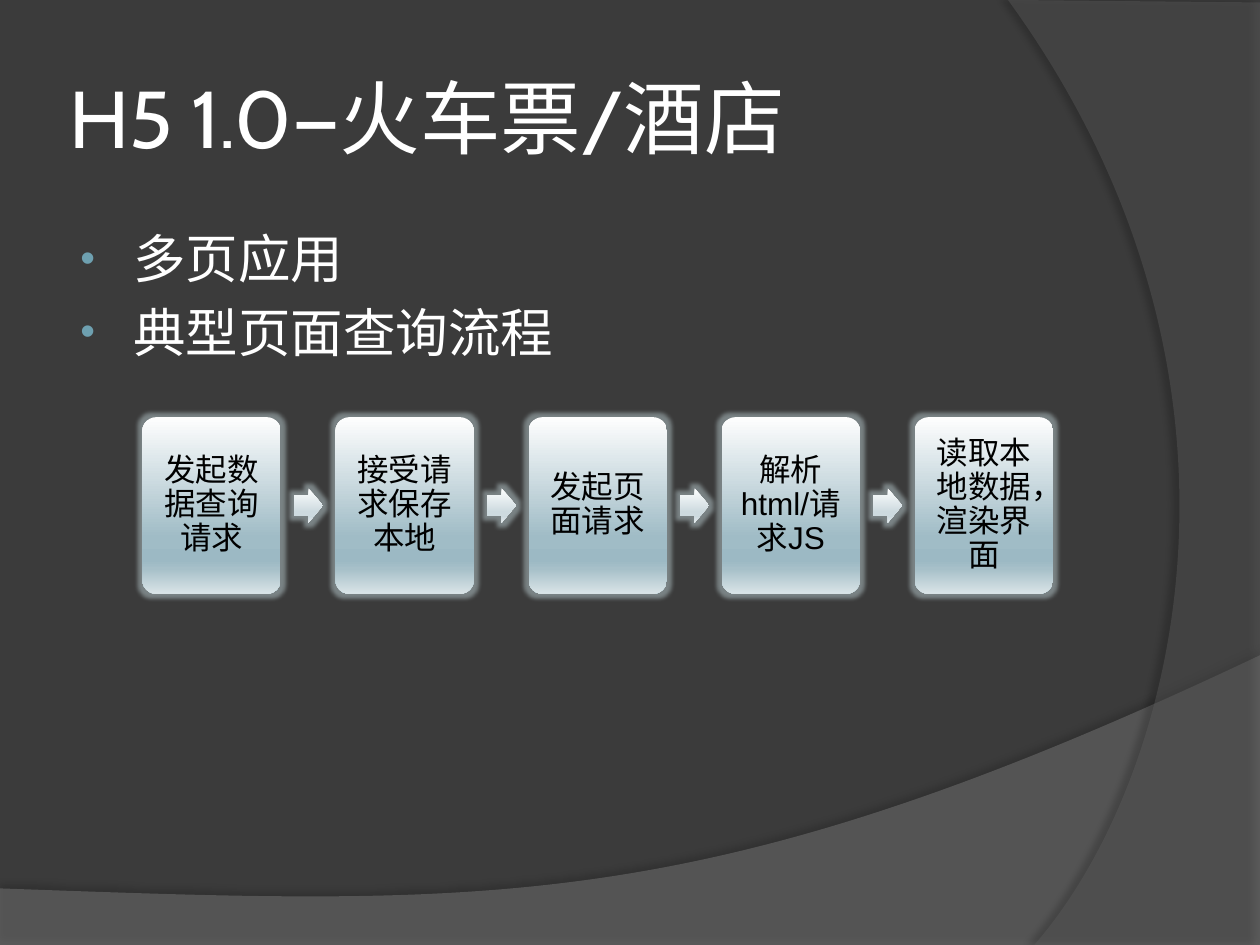
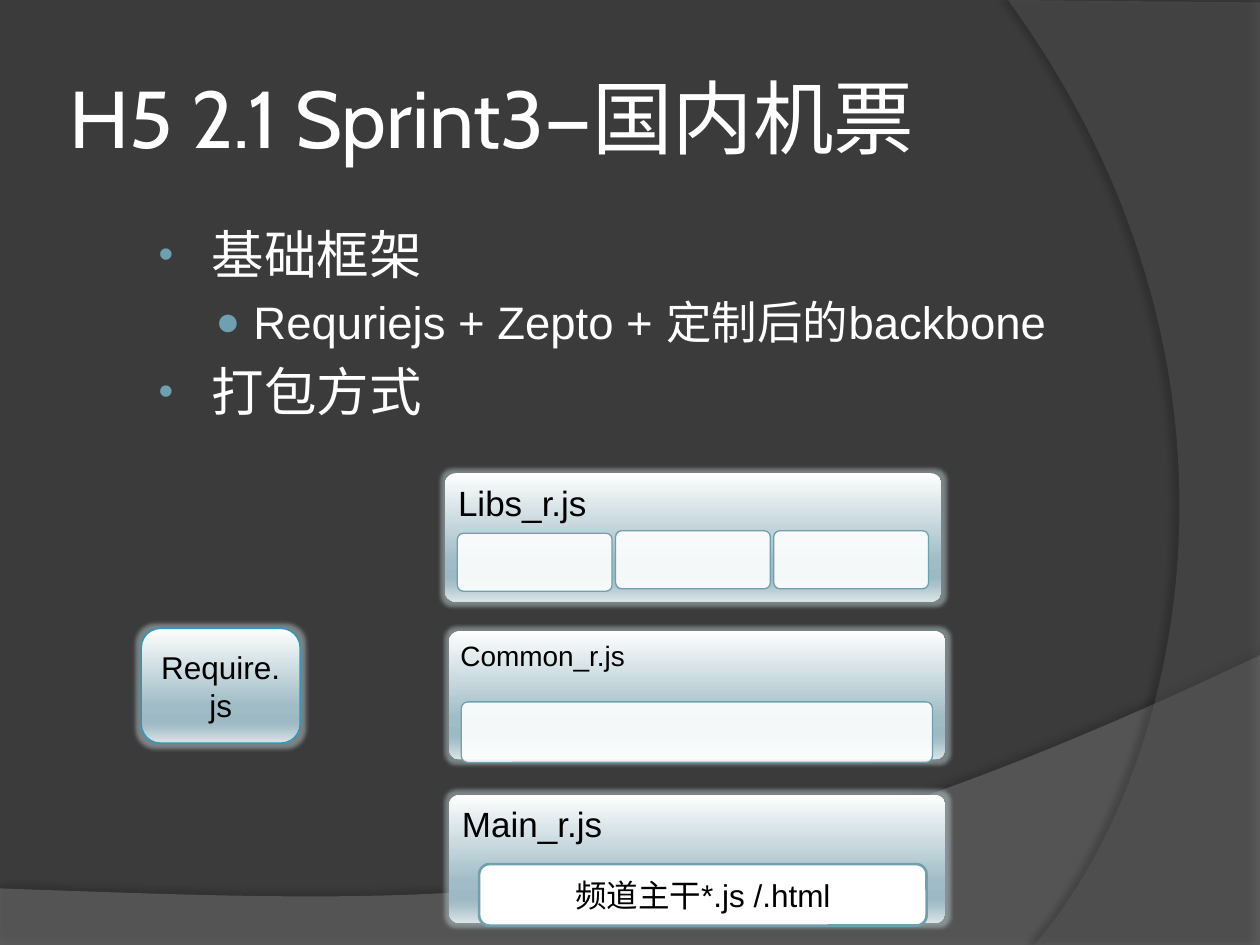
import pptx
import pptx.util
import pptx.dml.color
import pptx.enum.shapes
import pptx.enum.text
import pptx.oxml.ns
from lxml import etree

Cm, Pt = pptx.util.Cm, pptx.util.Pt
SHAPE = pptx.enum.shapes.MSO_SHAPE
ALIGN = pptx.enum.text.PP_ALIGN
ANCHOR = pptx.enum.text.MSO_ANCHOR
qn = pptx.oxml.ns.qn

# Shared colours, fonts and gradients
BACK, WHITE, BLACK, ACCENT = "3B3B3B", "FFFFFF", "000000", "6EA0B0"
GLOW = "C8DCE0"
TITLE_FONT, BODY_FONT = "Cabin", "Arial"
CARD_GRADIENT = [(0, "FEFEFE"), (68, "A0BCC6"), (81, "9CB9C4"), (86, "A7C0C9"), (100, "DAE4E7")]
ARROW_GRADIENT = [(0, "FEFFFF"), (68, "CDDADF"), (81, "CBD9DE"), (86, "D0DCE1"), (100, "EAEFF1")]
TITLE_BOX = (1.27, 0.76, 20.75, 3.18)
# Bullet level: character, size in percent, left margin, hanging indent, text size
BULLETS = [("•", 80, 1.17, 1.07, 30), ("●", 90, 2.01, 0.76, 26)]


def rgb(value):
    return pptx.dml.color.RGBColor.from_string(value)


def add_xml(parent, tag, **attrs):
    return etree.SubElement(parent, qn(tag), {k: str(v) for k, v in attrs.items()})


def add_color(parent, color, alpha=100):
    clr = add_xml(parent, "a:srgbClr", val=color)
    if alpha < 100:
        add_xml(clr, "a:alpha", val=alpha * 1000)


def place(box):
    return [Cm(v) for v in box]


def add_text(p, text, size=18, color=BLACK, font=BODY_FONT, align=None, spacing=None):
    r = p.add_run()
    r.text = text
    r.font.size, r.font.name = Pt(size), font
    r.font.color.rgb = rgb(color)
    p.alignment, p.line_spacing = align, spacing


def set_frame(tf, margins=(0.25, 0.13, 0.25, 0.13), anchor=ANCHOR.MIDDLE):
    tf.word_wrap = True
    tf.auto_size = pptx.enum.text.MSO_AUTO_SIZE.NONE
    tf.vertical_anchor = anchor
    tf.margin_left, tf.margin_top, tf.margin_right, tf.margin_bottom = place(margins)


def set_solid(sp, color, alpha=100):
    sp.fill.solid()
    sp.fill.fore_color.rgb = rgb(color)
    if alpha < 100:
        clr = sp.element.spPr.find(qn("a:solidFill"))[0]
        add_xml(clr, "a:alpha", val=alpha * 1000)


def set_gradient(sp, stops):
    sp.fill.gradient()
    sp.fill.gradient_angle = 270
    lst = sp.element.spPr.find(".//" + qn("a:gsLst"))
    for gs in list(lst):
        lst.remove(gs)
    for pos, color in stops:
        add_color(add_xml(lst, "a:gs", pos=pos * 1000), color)


def set_line(sp, color=None, width=0.75):
    if color:
        sp.line.color.rgb = rgb(color)
        sp.line.width = Pt(width)
    else:
        sp.line.fill.background()


def add_effect(sp, tag, color, alpha, **attrs):
    effects = sp.element.spPr.find(qn("a:effectLst"))
    add_color(add_xml(effects, tag, **attrs), color, alpha)


def add_preset(shapes, kind, box, adjustments=()):
    sp = shapes.add_shape(kind, *place(box))
    sp.shadow.inherit = False
    for i, value in enumerate(adjustments):
        sp.adjustments[i] = value
    return sp


def add_glossy(shapes, kind, box, adjustments=(), stops=CARD_GRADIENT, line=None):
    sp = add_preset(shapes, kind, box, adjustments)
    set_gradient(sp, stops)
    set_line(sp, line)
    add_effect(sp, "a:glow", GLOW, 45, rad=Pt(5))
    return sp


# Master background and curved bands
def add_band(prs, s, corners, controls, color, alpha, shadow_alpha, distance, angle):
    points = [place(pt) for pt in corners]
    fb = s.shapes.build_freeform(*points[0])
    fb.add_line_segments(points[1:], close=True)
    sp = fb.convert_to_shape()
    # One cubic curve leads from the last corner back to the first
    close = sp.element.spPr.find(".//" + qn("a:close"))
    curve = add_xml(close.getparent(), "a:cubicBezTo")
    for x, y in [place(pt) for pt in controls] + [points[0]]:
        add_xml(curve, "a:pt", x=x - sp.left, y=y - sp.top)
    close.addprevious(curve)
    sp.shadow.inherit = False
    set_solid(sp, color, alpha)
    set_line(sp)
    add_effect(sp, "a:outerShdw", BLACK, shadow_alpha, blurRad=Pt(4), dist=Pt(distance),
               dir=angle * 60000, algn="ctr", rotWithShape=0)
    # The band belongs to the master, so every slide shows it
    prs.slide_master.element.cSld.spTree.append(sp.element)


def build_master(prs, s):
    fill = prs.slide_master.background.fill
    fill.solid()
    fill.fore_color.rgb = rgb(BACK)
    add_band(prs, s, [(0, 17.91), (0, 19.05), (25.4, 19.05), (25.4, 13.21)],
             [(14.2, 18.52), (9.93, 18.26)], "7F7F7F", 45, 35, 3.5, 270)
    add_band(prs, s, [(20.32, 0), (25.4, 0.05), (25.4, 19.05), (20.85, 19.05)],
             [(23.75, 15.72), (25.86, 7.62)], "5E5E5E", 40, 45, 4, 180)


# Title and bullets
def add_title(s, text):
    sp = s.shapes.title
    sp.left, sp.top, sp.width, sp.height = place(TITLE_BOX)
    set_frame(sp.text_frame, (0.13,) * 4)
    add_text(sp.text_frame.paragraphs[0], text, size=46, color=WHITE,
             font=TITLE_FONT, align=ALIGN.LEFT)


def add_bullets(s, box, items):
    tf = s.shapes.add_textbox(*place(box)).text_frame
    set_frame(tf, anchor=ANCHOR.TOP)
    for i, (level, text) in enumerate(items):
        char, percent, margin, hanging, size = BULLETS[level]
        p = tf.add_paragraph() if i else tf.paragraphs[0]
        p.level = level
        add_text(p, text, size=size, color=WHITE)
        p.space_before = Pt(size * 0.2)
        pPr = p._p.get_or_add_pPr()
        pPr.set("marL", str(Cm(margin)))
        pPr.set("indent", str(-Cm(hanging)))
        add_color(add_xml(pPr, "a:buClr"), ACCENT)
        add_xml(pPr, "a:buSzPct", val=percent * 1000)
        add_xml(pPr, "a:buFont", typeface=BODY_FONT)
        add_xml(pPr, "a:buChar", char=char)


# Process flow: equal steps with an arrow in each gap
def add_flow(s, box, steps):
    x, y, w, h = box
    step_w, arrow_w, arrow_h = 2.79, 0.58, 0.69
    pitch = (w - step_w) / (len(steps) - 1)
    shapes = s.shapes.add_group_shape().shapes
    for i, text in enumerate(steps):
        left = x + i * pitch
        sp = add_glossy(shapes, SHAPE.ROUNDED_RECTANGLE, (left, y, step_w, h), [0.1])
        set_frame(sp.text_frame, (0.18,) * 4)
        add_text(sp.text_frame.paragraphs[0], text, align=ALIGN.CENTER, spacing=0.9)
        if i < len(steps) - 1:
            add_glossy(shapes, SHAPE.RIGHT_ARROW,
                       (left + step_w + 0.27, y + (h - arrow_h) / 2, arrow_w, arrow_h),
                       [0.6, 0.5], ARROW_GRADIENT)


# Package card with the slots for its files
def add_package(s, box, name, size, inset=0.2):
    shapes = s.shapes.add_group_shape().shapes
    sp = add_glossy(shapes, SHAPE.ROUNDED_RECTANGLE, box, [0.085])
    set_frame(sp.text_frame, (inset, inset, inset, 1.6), ANCHOR.TOP)
    add_text(sp.text_frame.paragraphs[0], name, size=size, align=ALIGN.LEFT, spacing=0.9)
    return shapes


def add_slot(shapes, box, alpha=90, line=0.75, radius=0.105):
    sp = add_preset(shapes, SHAPE.ROUNDED_RECTANGLE, box, [radius])
    set_solid(sp, WHITE, alpha)
    set_line(sp, ACCENT, line)
    return sp


def add_loader(s, box, text):
    sp = add_glossy(s.shapes, SHAPE.ROUNDED_RECTANGLE, box, line="239BC2")
    set_frame(sp.text_frame)
    add_text(sp.text_frame.paragraphs[0], text, align=ALIGN.CENTER)


def add_packages(s, box):
    x, y, w, h = box
    libs = add_package(s, box, "Libs_r.js", 20)
    for i, drop in enumerate([0.05, 0, 0]):
        add_slot(libs, (x + 0.25 + i * 3.19, y + 1.16 + drop, 3.12, 1.17))
    x += 0.08
    common = add_package(s, (x, y + 3.18, w, h), "Common_r.js", 16, inset=0.17)
    add_slot(common, (x + 0.25, y + 4.61, 9.5, 1.22))
    add_package(s, (x, y + 6.48, w, h), "Main_r.js", 20)
    sp = add_slot(s.shapes, (x + 0.61, y + 7.88, 9.02, 1.24), alpha=100, line=1.5, radius=0.167)
    set_frame(sp.text_frame)
    add_text(sp.text_frame.paragraphs[0], "频道主干*.js /.html", align=ALIGN.CENTER)


def build_flow_slide(s):
    add_title(s, "H5 1.0—火车票/酒店")
    add_bullets(s, (1.27, 4.43, 20.75, 12.57), [(0, "多页应用"), (0, "典型页面查询流程")])
    add_flow(s, (2.87, 8.41, 18.36, 3.56),
             ["发起数据查询请求", "接受请求保存本地", "发起页面请求",
              "解析html/请求JS", "读取本地数据，渲染界面"])


def build_package_slide(s):
    add_title(s, "H5 2.1 Sprint3—国内机票")
    add_bullets(s, (2.85, 4.35, 20.75, 12.57),
                [(0, "基础框架"), (1, "Requriejs + Zepto + 定制后的backbone"), (0, "打包方式")])
    add_loader(s, (2.85, 12.67, 3.2, 2.31), "Require.js")
    add_packages(s, (8.97, 9.54, 10.01, 2.59))


def main():
    prs = pptx.Presentation()
    prs.slide_width, prs.slide_height = Cm(25.4), Cm(19.05)
    title_only = prs.slide_layouts[5]
    first, second = (prs.slides.add_slide(title_only) for _ in range(2))
    build_master(prs, first)
    build_flow_slide(first)
    build_package_slide(second)
    prs.save("out.pptx")


if __name__ == "__main__":
    main()
